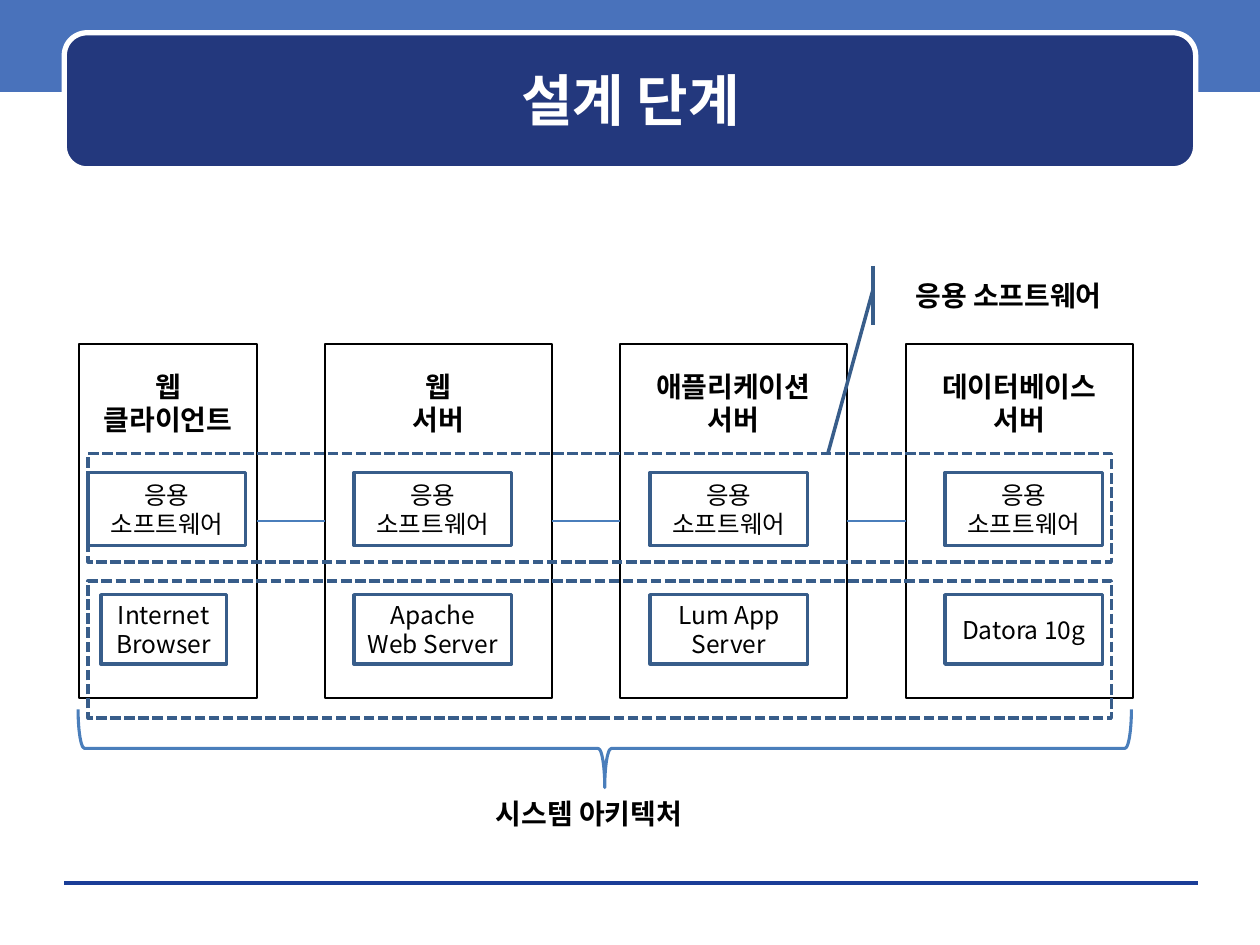
import pptx
import pptx.util
import pptx.oxml.ns
from lxml import etree
from pptx.dml.color import RGBColor
from pptx.enum.dml import MSO_LINE_DASH_STYLE
from pptx.enum.shapes import MSO_CONNECTOR_TYPE, MSO_SHAPE
from pptx.enum.text import MSO_ANCHOR, MSO_AUTO_SIZE, PP_ALIGN

WHITE = RGBColor(0xFF, 0xFF, 0xFF)
BLACK = RGBColor(0x00, 0x00, 0x00)
BAND_BLUE = RGBColor(0x49, 0x72, 0xBB)
TITLE_NAVY = RGBColor(0x23, 0x38, 0x7D)
RULE_BLUE = RGBColor(0x1A, 0x3D, 0x97)
LINK_BLUE = RGBColor(0x4A, 0x7E, 0xBB)
BOX_BLUE = RGBColor(0x38, 0x5D, 0x8A)
FONT = "Noto Sans CJK KR"

SLIDE_WIDTH, SLIDE_HEIGHT = 10, 7.5
TIER_TOP, TIER_HEIGHT = 2.73, 2.81
SOFTWARE_TOP, SOFTWARE_HEIGHT = 3.75, 0.58
PRODUCT_TOP, PRODUCT_HEIGHT = 4.72, 0.55
GROUP_LEFT, GROUP_WIDTH = 0.7, 8.12
BOX_WIDTH = 1.25

HEADING = {"size": pptx.util.Pt(16), "bold": True}
BODY = {"size": pptx.util.Pt(14), "bold": False}
TITLE = {"size": pptx.util.Pt(32), "bold": True}

TIERS = [
    {"left": 0.63, "width": 1.41, "name": "웹\n클라이언트",
     "software_left": 0.7, "product": "Internet Browser", "product_left": 0.8, "product_width": 1},
    {"left": 2.58, "width": 1.8, "name": "웹\n서버",
     "software_left": 2.81, "product": "Apache Web Server", "product_left": 2.81, "product_width": BOX_WIDTH},
    {"left": 4.92, "width": 1.8, "name": "애플리케이션\n서버",
     "software_left": 5.16, "product": "Lum App Server", "product_left": 5.16, "product_width": BOX_WIDTH},
    {"left": 7.19, "width": 1.8, "name": "데이터베이스\n서버",
     "software_left": 7.5, "product": "Datora 10g", "product_left": 7.5, "product_width": BOX_WIDTH},
]


def inches(*lengths):
    return [pptx.util.Inches(length) for length in lengths]


def write_text(box, text, style, color=BLACK, **frame_format):
    frame = box.text_frame
    settings = {"word_wrap": True, "vertical_anchor": MSO_ANCHOR.MIDDLE, **frame_format}
    for name, value in settings.items():
        setattr(frame, name, value)
    frame.text = text
    for para in frame.paragraphs:
        para.alignment = PP_ALIGN.CENTER
        for span in para.runs:
            for name, value in {"name": FONT, **style}.items():
                setattr(span.font, name, value)
            span.font.color.rgb = color
            east_asian = etree.SubElement(span.font._element, pptx.oxml.ns.qn("a:ea"))
            east_asian.set("typeface", FONT)


def add_box(slide, kind, place, line=None, width=2, fill=None, dash=None):
    box = slide.shapes.add_shape(kind, *inches(*place))
    box.shadow.inherit = False
    if fill is None:
        box.fill.background()
    else:
        box.fill.solid()
        box.fill.fore_color.rgb = fill
    if line is None:
        box.line.fill.background()
    else:
        box.line.color.rgb = line
        box.line.width = pptx.util.Pt(width)
        box.line.dash_style = dash
    return box


def add_line(slide, start, end, color, width):
    line = slide.shapes.add_connector(MSO_CONNECTOR_TYPE.STRAIGHT, *inches(*start, *end))
    line.line.color.rgb = color
    line.line.width = pptx.util.Pt(width)
    etree.SubElement(line.element.spPr, pptx.oxml.ns.qn("a:effectLst"))
    return line


def add_header(slide):
    add_box(slide, MSO_SHAPE.RECTANGLE, (0, -0.03, SLIDE_WIDTH, 0.76), fill=BAND_BLUE)
    add_line(slide, (0.51, 7.01), (9.51, 7.01), RULE_BLUE, 0)
    add_box(slide, MSO_SHAPE.ROUNDED_RECTANGLE, (0.51, 0.26, 8.98, 1.08), WHITE, 3, TITLE_NAVY)
    title = slide.shapes.title
    places = inches(0.6, 0.35, 8.81, 0.88)
    for name, value in zip(("left", "top", "width", "height"), places):
        setattr(title, name, value)
    write_text(title, "설계 단계", TITLE, WHITE)
    title.element.getparent().append(title.element)


def add_tier(slide, tier):
    place = (tier["left"], TIER_TOP, tier["width"], TIER_HEIGHT)
    box = add_box(slide, MSO_SHAPE.RECTANGLE, place, BLACK, 1.25)
    write_text(box, tier["name"], HEADING, vertical_anchor=MSO_ANCHOR.TOP,
               margin_top=pptx.util.Inches(0.2))
    parts = [
        ("응용\n소프트웨어", (tier["software_left"], SOFTWARE_TOP, BOX_WIDTH, SOFTWARE_HEIGHT)),
        (tier["product"], (tier["product_left"], PRODUCT_TOP, tier["product_width"], PRODUCT_HEIGHT)),
    ]
    for text, part_place in parts:
        part = add_box(slide, MSO_SHAPE.RECTANGLE, part_place, BOX_BLUE)
        write_text(part, text, BODY)
    return box


def link_tiers(slide, boxes):
    for before, after in zip(boxes, boxes[1:]):
        line = add_line(slide, (0, 0), (1, 0), LINK_BLUE, 1.5)
        line.begin_connect(before, 3)
        line.end_connect(after, 1)


def add_architecture_brace(slide):
    brace = add_box(slide, MSO_SHAPE.LEFT_BRACE, (4.49, 1.76, 0.62, 8.36), LINK_BLUE, 1.75)
    brace.rotation = 270
    label = slide.shapes.add_textbox(*inches(3.83, 6.27, 1.69, 0.37))
    write_text(label, "시스템 아키텍처", HEADING, word_wrap=False,
               vertical_anchor=MSO_ANCHOR.TOP, auto_size=MSO_AUTO_SIZE.SHAPE_TO_FIT_TEXT)


def add_groups(slide):
    for top, height in ((4.61, 1.09), (3.6, 0.86)):
        add_box(slide, MSO_SHAPE.RECTANGLE, (GROUP_LEFT, top, GROUP_WIDTH, height),
                BOX_BLUE, dash=MSO_LINE_DASH_STYLE.SQUARE_DOT)


def add_software_callout(slide):
    callout = add_box(slide, MSO_SHAPE.LINE_CALLOUT_1_ACCENT_BAR, (6.95, 2.11, 2.11, 0.47), BOX_BLUE)
    for index, share in enumerate((0.4, -0.01, 3.17, -0.18)):
        callout.adjustments[index] = share
    write_text(callout, "응용 소프트웨어", HEADING)


def main():
    deck = pptx.Presentation()
    deck.slide_width, deck.slide_height = inches(SLIDE_WIDTH, SLIDE_HEIGHT)
    slide = deck.slides.add_slide(deck.slide_layouts[5])
    add_header(slide)
    boxes = [add_tier(slide, tier) for tier in TIERS]
    link_tiers(slide, boxes)
    add_architecture_brace(slide)
    add_groups(slide)
    add_software_callout(slide)
    deck.save("out.pptx")


if __name__ == "__main__":
    main()
